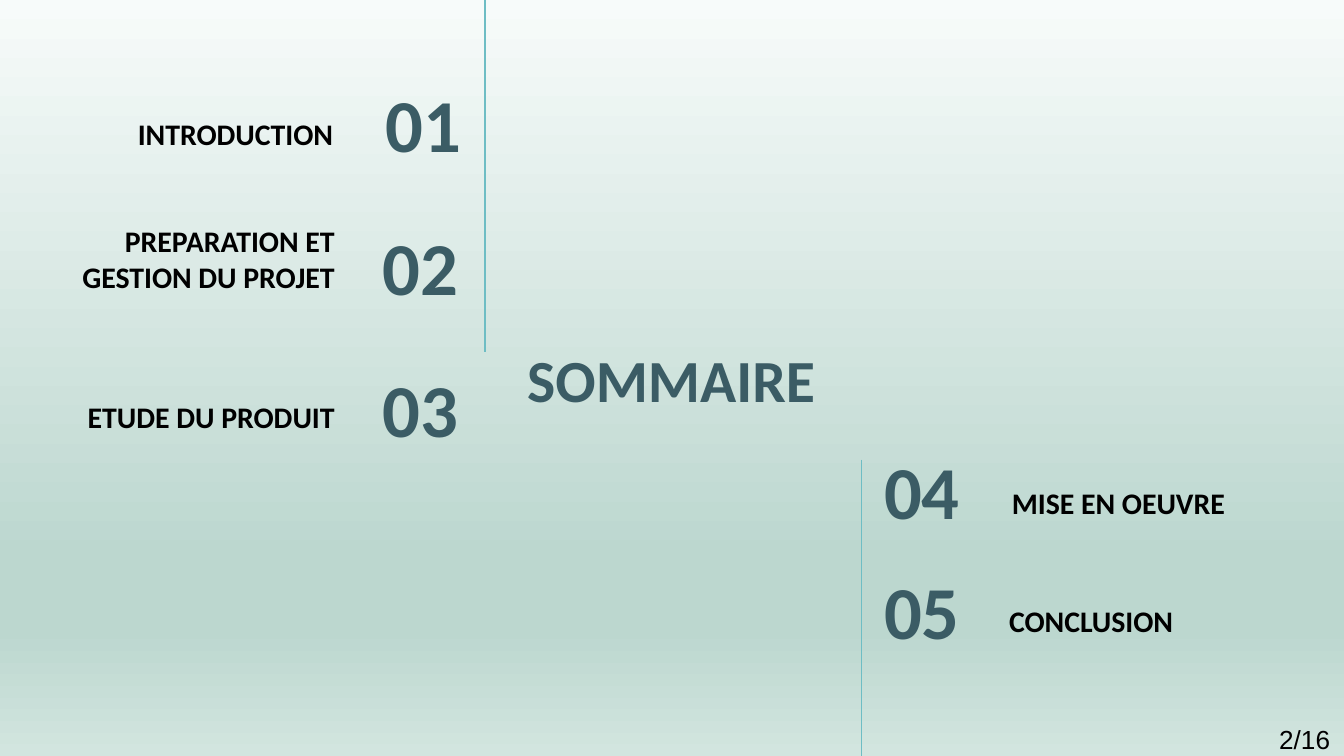
import dataclasses

import pptx
import pptx.dml.color
import pptx.enum.shapes
import pptx.enum.text
import pptx.oxml
import pptx.oxml.ns
import pptx.util

Pt = pptx.util.Pt
Align = pptx.enum.text.PP_ALIGN
Anchor = pptx.enum.text.MSO_ANCHOR
AutoSize = pptx.enum.text.MSO_AUTO_SIZE


@dataclasses.dataclass(frozen=True)
class Theme:
    accent: str = "3B5C65"
    text: str = "000000"
    rule: str = "6EBDC4"
    background: tuple = ((0, "F7FBFA"), (74, "BCD7CF"), (83, "BCD7CF"), (100, "D2E5DF"))
    font: str = "Calibri"
    page_font: str = "Arial"
    title_size: float = 32
    number_size: float = 40
    label_size: float = 16
    page_size: float = 14
    rule_width: float = 0.75
    inset: float = 7.2


def rgb(colour):
    return pptx.dml.color.RGBColor.from_string(colour)


class AgendaSlide:
    """Holds the theme and the slide being drawn; all lengths are in points."""

    def __init__(self, slide, theme):
        self.slide = slide
        self.theme = theme

    def background(self):
        fill = self.slide.background.fill
        fill.gradient()
        fill.gradient_angle = 270
        stops = next(self.slide.element.iter(pptx.oxml.ns.qn("a:gsLst")))
        for stop in list(stops):
            stops.remove(stop)
        for percent, colour in self.theme.background:
            stops.append(pptx.oxml.parse_xml(
                f'<a:gs {pptx.oxml.ns.nsdecls("a")} pos="{percent * 1000}">'
                f'<a:srgbClr val="{colour}"/></a:gs>'))

    def fill_text(self, box, text, size, colour, align, anchor):
        """Fill a box with one bold paragraph in the theme font."""
        frame = box.text_frame
        frame.word_wrap = True
        frame.auto_size = AutoSize.NONE
        frame.vertical_anchor = anchor
        inset = Pt(self.theme.inset)
        frame.margin_left = frame.margin_right = inset
        frame.margin_top = frame.margin_bottom = inset
        para = frame.paragraphs[0]
        para.alignment = align
        self.span(para, text, self.theme.font, size, colour, True)

    def span(self, para, text, font, size, colour, bold):
        span = para.add_run()
        span.text = text
        span.font.name = font
        span.font.size = Pt(size)
        span.font.bold = bold
        span.font.color.rgb = rgb(colour)

    def title(self, text, left, top, width, height):
        box = self.slide.shapes.title
        box.left, box.top, box.width, box.height = map(Pt, (left, top, width, height))
        self.fill_text(box, text, self.theme.title_size, self.theme.accent,
                       Align.CENTER, Anchor.MIDDLE)

    def number(self, text, left, top, width, height, align):
        box = self.slide.shapes.add_textbox(*map(Pt, (left, top, width, height)))
        self.fill_text(box, text, self.theme.number_size, self.theme.accent,
                       align, Anchor.MIDDLE)

    def label(self, text, left, top, width, height, align):
        box = self.slide.shapes.add_textbox(*map(Pt, (left, top, width, height)))
        self.fill_text(box, text, self.theme.label_size, self.theme.text,
                       align, Anchor.BOTTOM)

    def vertical_rule(self, x, top, bottom):
        line = self.slide.shapes.add_connector(
            pptx.enum.shapes.MSO_CONNECTOR.STRAIGHT, Pt(x), Pt(top), Pt(x), Pt(bottom))
        line.line.color.rgb = rgb(self.theme.rule)
        line.line.width = Pt(self.theme.rule_width)
        line.element.spPr.append(
            pptx.oxml.parse_xml(f'<a:effectLst {pptx.oxml.ns.nsdecls("a")}/>'))

    def page_number(self, text, left, top, width, height):
        box = self.slide.shapes.add_textbox(*map(Pt, (left, top, width, height)))
        box.text_frame.word_wrap = False
        box.text_frame.auto_size = AutoSize.SHAPE_TO_FIT_TEXT
        self.span(box.text_frame.paragraphs[0], text, self.theme.page_font,
                  self.theme.page_size, self.theme.text, False)


ROW_HEIGHT = 45.4
LABEL_WIDTH = 155.5

# number, number left, number top, label, label left, label top
LEFT_ENTRIES = (
    ("01", 167, 43.2, "INTRODUCTION", 30.2, 43.2),
    ("02", 165.6, 119.5, "PREPARATION ET GESTION DU PROJET", 31, 119.5),
    ("03", 165.6, 195.8, "ETUDE DU PRODUIT", 31, 194.4),
)
RIGHT_ENTRIES = (
    ("04", 466.6, 239.8, "MISE EN OEUVRE", 535, 240.5),
    ("05", 466.6, 303.8, "CONCLUSION", 533.5, 303.8),
)


def main():
    deck = pptx.Presentation()
    deck.slide_width, deck.slide_height = Pt(720), Pt(405)
    page = AgendaSlide(deck.slides.add_slide(deck.slide_layouts[5]), Theme())

    page.background()
    page.title("SOMMAIRE", 266.4, 165.6, 186.5, 74.2)
    page.vertical_rule(259.9, 0, 188.6)
    page.vertical_rule(461.5, 246.2, 406)

    sides = ((LEFT_ENTRIES, 87.1, Align.RIGHT), (RIGHT_ENTRIES, 84.2, Align.LEFT))
    for entries, number_width, align in sides:
        for number, number_left, number_top, label, label_left, label_top in entries:
            page.number(number, number_left, number_top, number_width, ROW_HEIGHT, align)
            page.label(label, label_left, label_top, LABEL_WIDTH, ROW_HEIGHT, align)

    page.page_number("2/16", 678.2, 383.8, 41.8, 24.5)
    deck.save("out.pptx")


if __name__ == "__main__":
    main()
